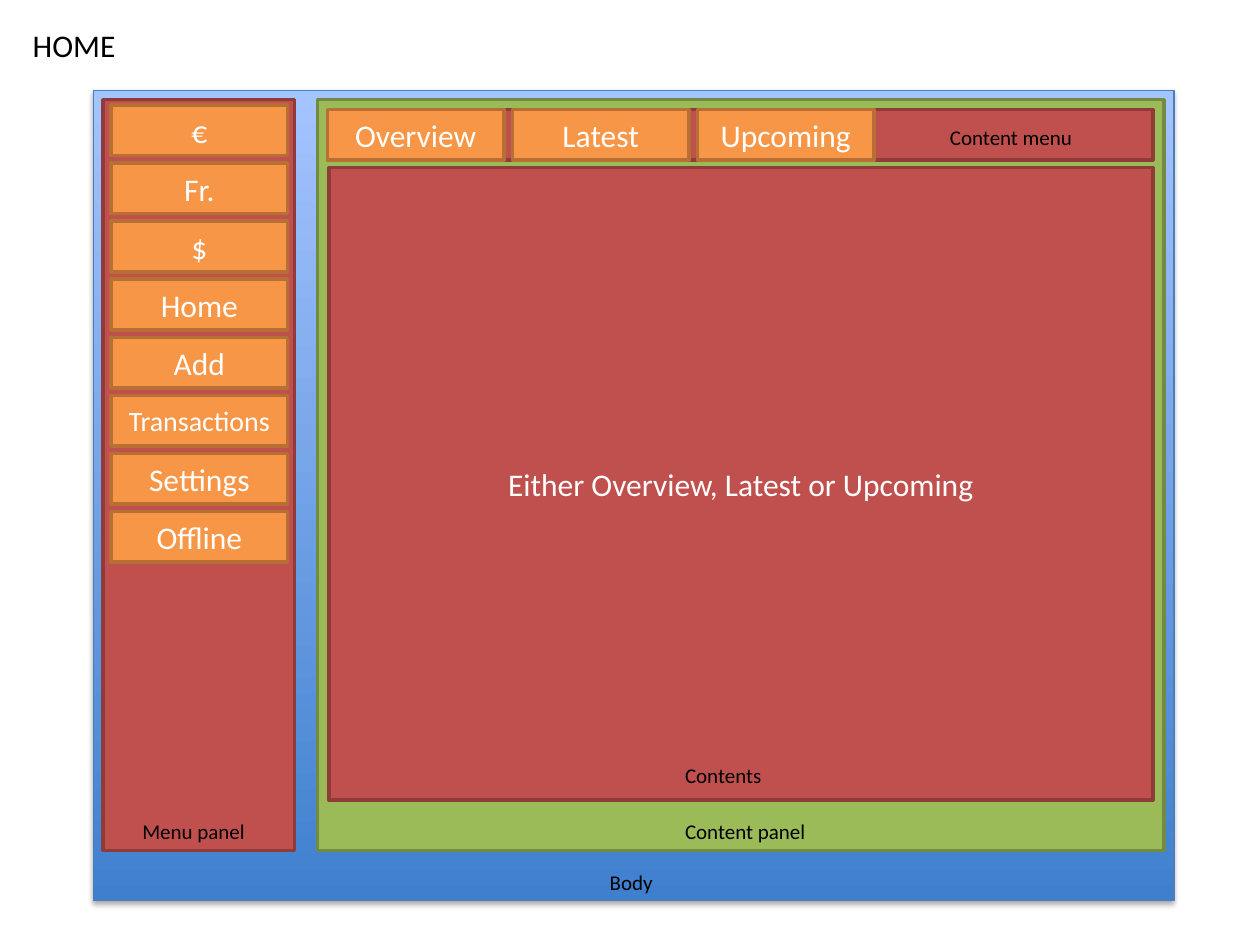
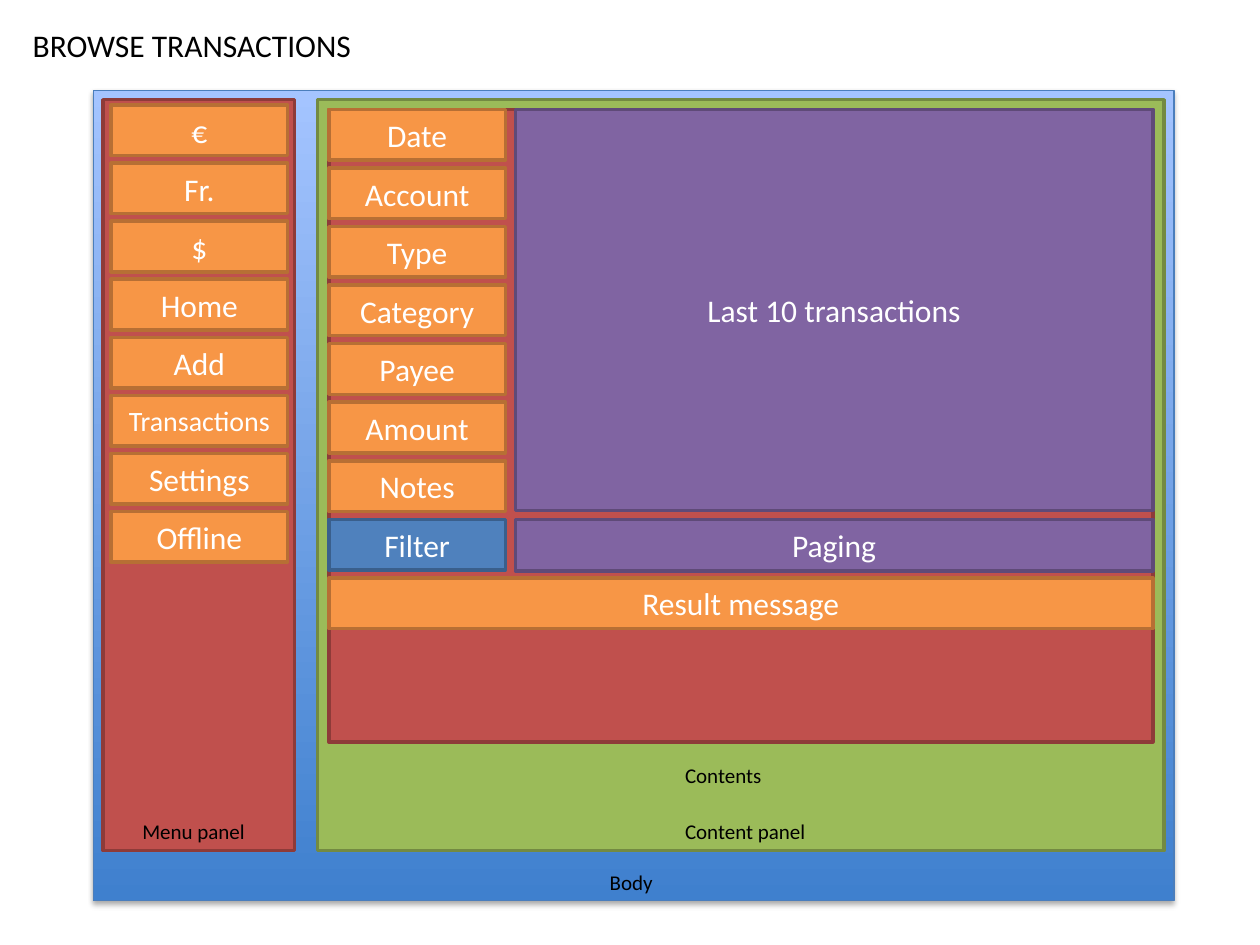
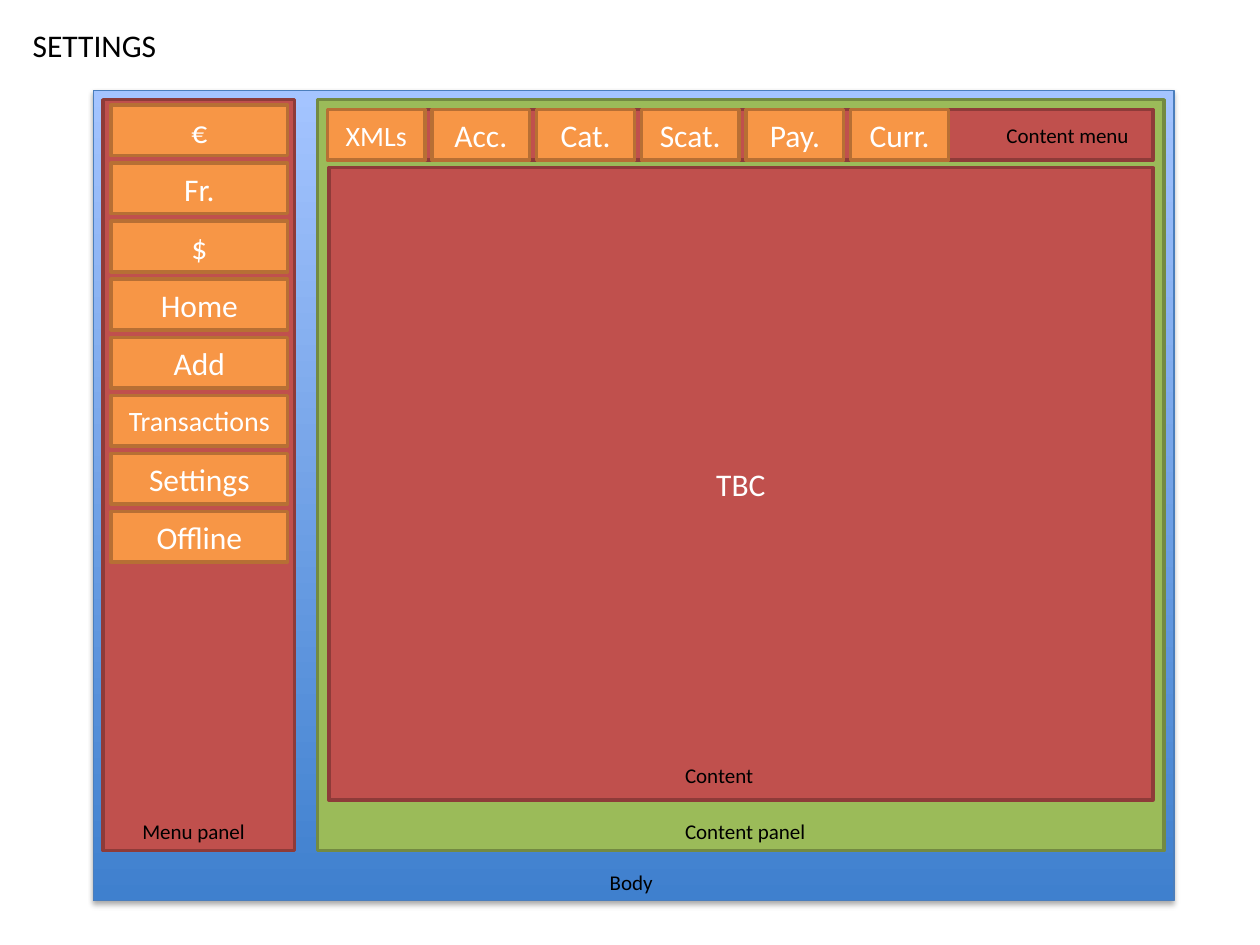
from lxml import etree
from pptx import Presentation
from pptx.dml.color import RGBColor
from pptx.enum.shapes import MSO_SHAPE
from pptx.enum.text import MSO_ANCHOR, MSO_AUTO_SIZE, PP_ALIGN
from pptx.oxml.ns import qn
from pptx.util import Cm, Pt

RECTANGLE = MSO_SHAPE.RECTANGLE
MIDDLE = MSO_ANCHOR.MIDDLE
CENTER = PP_ALIGN.CENTER
GROW = MSO_AUTO_SIZE.SHAPE_TO_FIT_TEXT

# Colours
BLACK = RGBColor(0x00, 0x00, 0x00)
WHITE = RGBColor(0xFF, 0xFF, 0xFF)
BODY_BOTTOM = RGBColor(0x3F, 0x80, 0xCE)
BODY_TOP = RGBColor(0xA4, 0xC4, 0xFF)
BODY_EDGE = RGBColor(0x4B, 0x7E, 0xBC)

# Fill and edge of each kind of box
RED = (RGBColor(0xC0, 0x50, 0x4D), RGBColor(0x8E, 0x3B, 0x39))
GREEN = (RGBColor(0x9B, 0xBB, 0x59), RGBColor(0x73, 0x8A, 0x42))
ORANGE = (RGBColor(0xF7, 0x96, 0x46), RGBColor(0xB7, 0x6F, 0x34))
BLUE = (RGBColor(0x4F, 0x81, 0xBD), RGBColor(0x3A, 0x5F, 0x8C))
PURPLE = (RGBColor(0x80, 0x64, 0xA2), RGBColor(0x5F, 0x4A, 0x78))

# Layout, in centimetres
BUTTON_WIDTH, BUTTON_HEIGHT = 3.56, 1.02
CONTENT_LEFT, CONTENT_TOP, CONTENT_WIDTH = 6.63, 2.21, 16.61
CONTENTS_TOP, CONTENTS_HEIGHT = 3.38, 12.75
MENU_LEFT, MENU_TOP, MENU_PITCH = 2.24, 2.12, 1.17
TAB_LEFT = 6.6
FIELD_PITCH = 1.18
RESULTS_LEFT, RESULTS_WIDTH = 10.39, 12.85
LABEL_WIDTH, LABEL_HEIGHT = 3.02, 0.76

MENU = ["€", "Fr.", "$", "Home", "Add", "Transactions", "Settings", "Offline"]
FIELDS = ["Date", "Account", "Type", "Category", "Payee", "Amount", "Notes"]
SMALLER_CAPTIONS = {"Transactions", "XMLs"}


def write(frame, text, size, color):
    para = frame.paragraphs[0]
    span = para.add_run()
    span.text = text
    formats = {"name": "Calibri", "size": Pt(size)}
    for name, value in formats.items():
        setattr(span.font, name, value)
    span.font.color.rgb = color
    return para


def add_rectangle(page, left, top, width, height):
    box = page.shapes.add_shape(RECTANGLE, Cm(left), Cm(top), Cm(width), Cm(height))
    box.shadow.inherit = False
    return box


def add_box(page, left, top, width, height, colors, text=""):
    box = add_rectangle(page, left, top, width, height)
    fill, edge = colors
    box.fill.solid()
    box.fill.fore_color.rgb = fill
    box.line.color.rgb = edge
    box.line.width = Pt(2)
    if text:
        box.text_frame.vertical_anchor = MIDDLE
        size = 16 if text in SMALLER_CAPTIONS else 18
        write(box.text_frame, text, size, WHITE).alignment = CENTER


def add_text(page, left, top, width, height, text, size, wrap):
    box = page.shapes.add_textbox(Cm(left), Cm(top), Cm(width), Cm(height))
    formats = {"word_wrap": wrap, "auto_size": GROW}
    for name, value in formats.items():
        setattr(box.text_frame, name, value)
    write(box.text_frame, text, size, BLACK)


def add_label(page, left, top, text):
    add_text(page, left, top, LABEL_WIDTH, LABEL_HEIGHT, text, 12, True)


def add_column(page, left, top, pitch, captions):
    for row, caption in enumerate(captions):
        add_box(page, left, top + row * pitch, BUTTON_WIDTH, BUTTON_HEIGHT,
                ORANGE, caption)


def add_tabs(page, captions, width, pitch):
    for column, caption in enumerate(captions):
        add_box(page, TAB_LEFT + column * pitch, CONTENT_TOP, width,
                BUTTON_HEIGHT, ORANGE, caption)


def add_body(page):
    body = add_rectangle(page, 1.88, 1.83, 21.79, 16.33)
    body.fill.gradient()
    body.fill.gradient_angle = 90
    for stop, color in zip(body.fill.gradient_stops, (BODY_BOTTOM, BODY_TOP)):
        stop.color.rgb = color
    body.line.color.rgb = BODY_EDGE
    body.line.width = Pt(0.75)

    # Soft shadow below the body
    effects = body.element.spPr.find(qn("a:effectLst"))
    shadow = etree.SubElement(effects, qn("a:outerShdw"), blurRad="40000",
                              dist="23000", dir="5400000", rotWithShape="0")
    color = etree.SubElement(shadow, qn("a:srgbClr"), val=str(BLACK))
    etree.SubElement(color, qn("a:alpha"), val="35000")


def add_screen(deck, title, title_width):
    """Add a page with the title, body, panels and menu that all screens share."""
    page = deck.slides.add_slide(deck.slide_layouts[6])
    add_text(page, 0.41, 0.41, title_width, 1.02, title, 18, False)
    add_body(page)
    add_box(page, 2.08, 2.01, 3.86, 15.14, RED)
    add_box(page, 6.4, 2.01, 17.07, 15.14, GREEN)
    add_label(page, 12.04, 17.4, "Body")
    add_label(page, 13.56, 16.38, "Content panel")
    add_label(page, 2.62, 16.38, "Menu panel")
    add_column(page, MENU_LEFT, MENU_TOP, MENU_PITCH, MENU)
    return page


def add_contents(page, top, text, label):
    add_box(page, CONTENT_LEFT, top, CONTENT_WIDTH, CONTENTS_HEIGHT, RED, text)
    add_label(page, 13.56, 15.24, label)


def add_content_menu(page, captions, width, pitch, label_left, label_top):
    add_box(page, CONTENT_LEFT, CONTENT_TOP, CONTENT_WIDTH, BUTTON_HEIGHT, RED)
    add_tabs(page, captions, width, pitch)
    add_label(page, label_left, label_top, "Content menu")


def add_home(deck):
    page = add_screen(deck, "HOME", 2.21)
    add_content_menu(page, ["Overview", "Latest", "Upcoming"],
                     BUTTON_WIDTH, 3.73, 18.9, 2.39)
    add_contents(page, CONTENTS_TOP, "Either Overview, Latest or Upcoming", "Contents")


def add_browse(deck):
    page = add_screen(deck, "BROWSE TRANSACTIONS", 7.01)
    add_contents(page, CONTENT_TOP, "", "Contents")
    add_column(page, CONTENT_LEFT, CONTENT_TOP, FIELD_PITCH, FIELDS)

    # Rows below the filter fields
    filter_top = CONTENT_TOP + len(FIELDS) * FIELD_PITCH
    add_box(page, CONTENT_LEFT, filter_top, BUTTON_WIDTH, BUTTON_HEIGHT, BLUE, "Filter")
    add_box(page, RESULTS_LEFT, CONTENT_TOP, RESULTS_WIDTH, 8.08, PURPLE,
            "Last 10 transactions")
    add_box(page, CONTENT_LEFT, filter_top + FIELD_PITCH, CONTENT_WIDTH,
            BUTTON_HEIGHT, ORANGE, "Result message")
    add_box(page, RESULTS_LEFT, filter_top, RESULTS_WIDTH, 1.04, PURPLE, "Paging")


def add_settings(deck):
    page = add_screen(deck, "SETTINGS", 3.02)
    add_content_menu(page, ["XMLs", "Acc.", "Cat.", "Scat.", "Pay.", "Curr."],
                     1.97, 2.11, 20.04, 2.34)
    add_contents(page, CONTENTS_TOP, "TBC", "Content")


def main():
    deck = Presentation()
    deck.slide_width, deck.slide_height = Cm(25.4), Cm(19.05)
    add_home(deck)
    add_browse(deck)
    add_settings(deck)
    deck.save("out.pptx")


if __name__ == "__main__":
    main()
